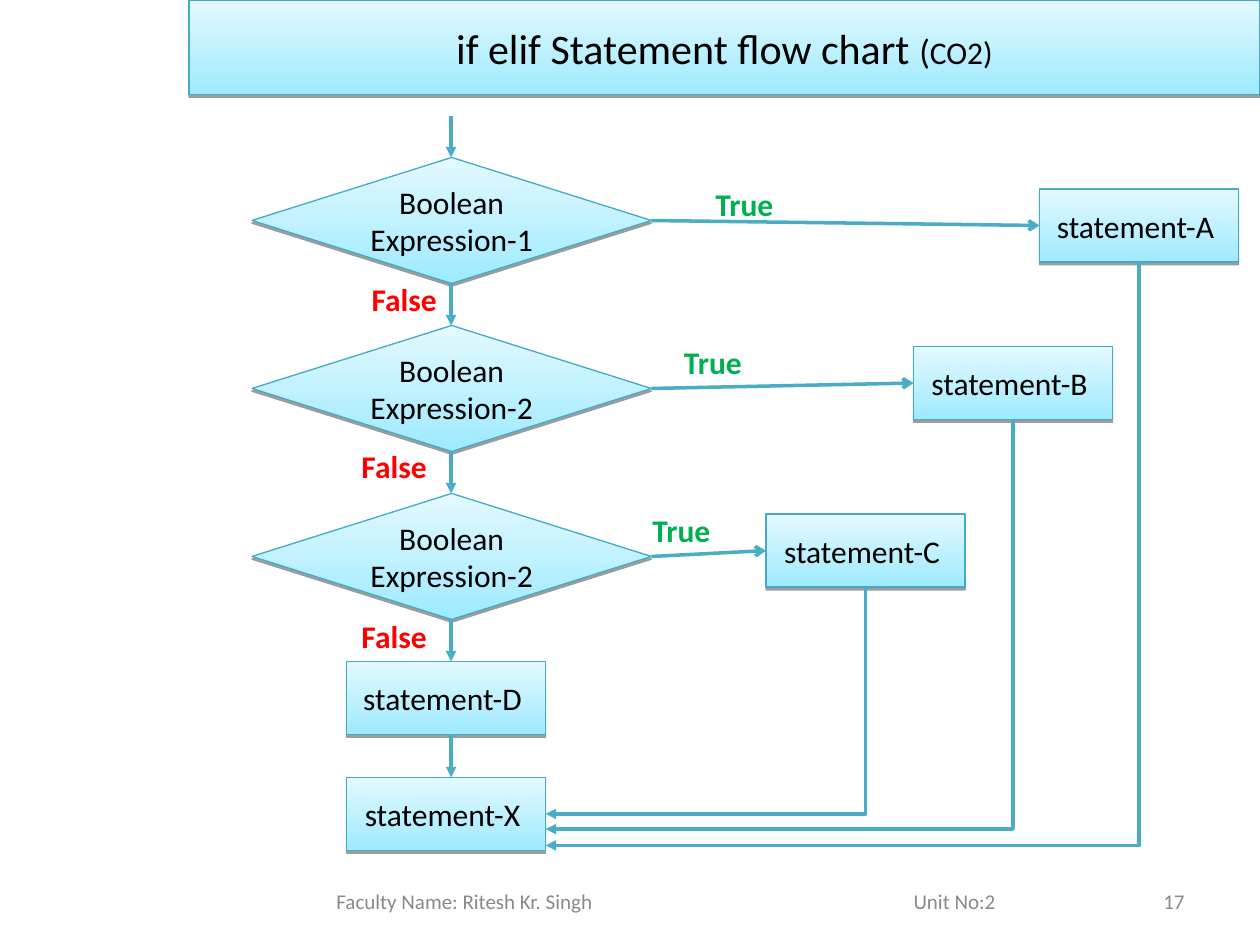
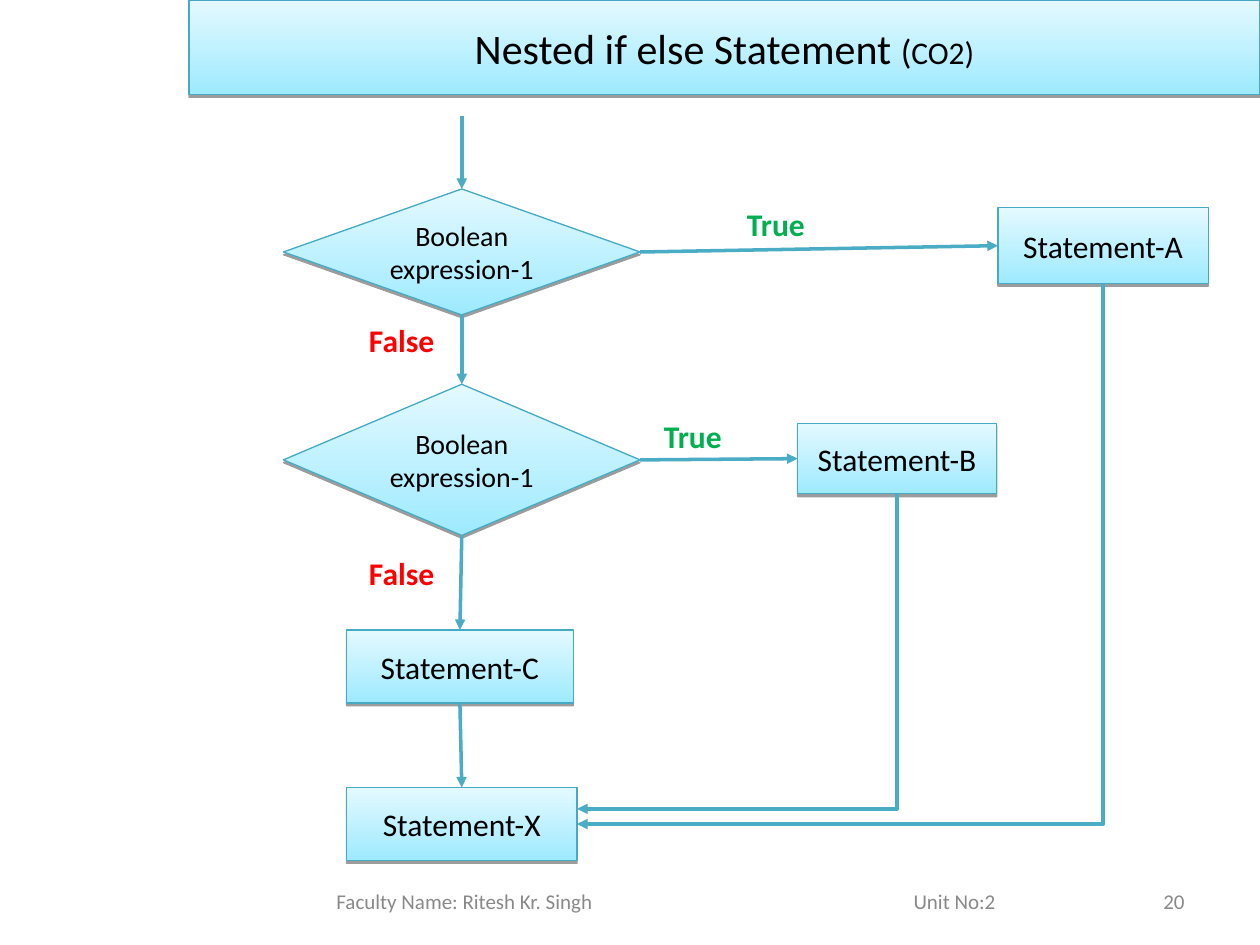
from lxml import etree
from pptx import Presentation
from pptx.dml.color import RGBColor
from pptx.enum.shapes import MSO_CONNECTOR, MSO_SHAPE
from pptx.enum.text import MSO_ANCHOR, MSO_AUTO_SIZE, PP_ALIGN
from pptx.oxml.ns import qn
from pptx.util import Inches, Pt

BLACK = RGBColor(0x00, 0x00, 0x00)
GRAY = RGBColor(0x89, 0x89, 0x89)
GREEN = RGBColor(0x00, 0xB0, 0x50)
RED = RGBColor(0xFF, 0x00, 0x00)
DEEP = RGBColor(0x9E, 0xEA, 0xFF)
PALE = RGBColor(0xE4, 0xF9, 0xFF)
EDGE = RGBColor(0x46, 0xAA, 0xC5)
ARROW = RGBColor(0x4B, 0xAC, 0xC6)
FRAME = {
    "word_wrap": True,
    "auto_size": MSO_AUTO_SIZE.NONE,
    "vertical_anchor": MSO_ANCHOR.MIDDLE,
    "margin_left": Inches(0.1),
    "margin_right": Inches(0.1),
    "margin_top": Inches(0.05),
    "margin_bottom": Inches(0.05),
}


def apply(item, values):
    for name, value in values.items():
        setattr(item, name, value)


def child(parent, tag, **values):
    return etree.SubElement(parent, qn(tag), {k: str(v) for k, v in values.items()})


class Chart:
    """Draws flow charts in one shared style, slide by slide."""

    def __init__(self):
        self.deck = Presentation()
        apply(self.deck, {"slide_width": Inches(10), "slide_height": Inches(7.5)})
        self.slide = None

    def page(self, title, number):
        self.slide = self.deck.slides.add_slide(self.deck.slide_layouts[5])
        band = self.slide.shapes.title
        places = {"left": 1.5, "top": 0, "width": 8.5, "height": 0.75}
        apply(band, {name: Inches(value) for name, value in places.items()})
        self.paint(band)
        self.letter(band, [(title + " ", 24), ("(", 20), ("CO2)", 18)], PP_ALIGN.CENTER)
        self.foot(number)

    def foot(self, number):
        names = self.box(1.5, 6.95, 7.58, 0.4)
        self.letter(names, [("Faculty Name: Ritesh Kr. Singh\tUnit No:2", 12)], color=GRAY)
        names.text_frame.margin_left = Inches(1.17)
        stops = child(names.text_frame.paragraphs[0]._p.get_or_add_pPr(), "a:tabLst")
        child(stops, "a:tab", pos=Inches(4.58), algn="l")
        count = self.box(7.17, 6.95, 2.33, 0.4)
        self.letter(count, [(str(number), 12)], PP_ALIGN.RIGHT, GRAY)

    def box(self, *place):
        return self.slide.shapes.add_textbox(*map(Inches, place))

    def paint(self, shape):
        shape.fill.gradient()
        shape.fill.gradient_angle = 90
        for stop, color in zip(shape.fill.gradient_stops, (DEEP, PALE)):
            stop.color.rgb = color
        shape.line.color.rgb = EDGE
        shape.line.width = Pt(0.75)
        shape.shadow.inherit = False
        effects = shape._element.spPr.find(qn("a:effectLst"))
        shade = child(effects, "a:outerShdw", blurRad=0, dist=Pt(1.6),
                      dir=5400000, rotWithShape=0)
        child(child(shade, "a:srgbClr", val=BLACK), "a:alpha", val=38000)

    def letter(self, shape, parts, align=PP_ALIGN.LEFT, color=BLACK, bold=False):
        apply(shape.text_frame, FRAME)
        para = shape.text_frame.paragraphs[0]
        para.alignment = align
        for text, size in parts:
            run = para.add_run()
            run.text = text
            apply(run.font, {"name": "Calibri", "size": Pt(size), "bold": bold})
            run.font.color.rgb = color

    def node(self, kind, text, place, size=18):
        shape = self.slide.shapes.add_shape(kind, *map(Inches, place))
        self.paint(shape)
        self.letter(shape, [(text, size)], PP_ALIGN.CENTER)
        return shape

    def test(self, text, place, size=18):
        return self.node(MSO_SHAPE.FLOWCHART_DECISION, text, place, size)

    def step(self, text, *place):
        return self.node(MSO_SHAPE.FLOWCHART_PROCESS, text, place)

    def labels(self, text, color, places):
        for left, top in places:
            label = self.box(left, top, 0.75, 0.4)
            self.letter(label, [(text, 18)], color=color, bold=True)
            label.text_frame.vertical_anchor = MSO_ANCHOR.TOP

    def arrow(self, kind, ends, head="triangle"):
        line = self.slide.shapes.add_connector(kind, *map(int, ends))
        line.line.color.rgb = ARROW
        line.line.width = Pt(2)
        props = line._element.spPr
        child(props.find(qn("a:ln")), "a:tailEnd", type=head)
        child(props, "a:effectLst")
        return line

    def chain(self, nodes, spine=None):
        def mid(node):
            return spine or node.left + node.width / 2

        first = nodes[0]
        runs = [(mid(first), Inches(0.92), mid(first), first.top)]
        for up, low in zip(nodes, nodes[1:]):
            runs.append((mid(up), up.top + up.height, mid(low), low.top))
        for ends in runs:
            self.arrow(MSO_CONNECTOR.STRAIGHT, ends)

    def across(self, test, step, head="triangle"):
        ends = (test.left + test.width, test.top + test.height / 2,
                step.left, step.top + step.height / 2)
        self.arrow(MSO_CONNECTOR.STRAIGHT, ends, head)

    def back(self, step, last, level):
        right, top = step.left + step.width / 2, step.top + step.height
        left, low = last.left + last.width, Inches(level)
        mid_x, mid_y = (left + right) / 2, (top + low) / 2
        half_w, half_h = (low - top) / 2, (right - left) / 2
        ends = (mid_x - half_w, mid_y - half_h, mid_x + half_w, mid_y + half_h)
        props = self.arrow(MSO_CONNECTOR.ELBOW, ends)._element.spPr
        props.find(qn("a:prstGeom")).set("prst", "bentConnector2")
        props.find(qn("a:xfrm")).set("rot", "5400000")

    def join(self, tests, steps, last, levels, head="triangle"):
        for test, step, level in zip(tests, steps, levels):
            self.across(test, step, head)
            self.back(step, last, level)


def elif_page(chart):
    chart.page("if elif Statement flow chart", 17)
    tests = [chart.test(f"Boolean Expression-{n}", (2, 1.25 + i * 4 / 3, 3.17, 1))
             for i, n in enumerate((1, 2, 2))]
    spots = {"A": (8.25, 1.5), "B": (7.25, 2.75), "C": (6.08, 4.08),
             "D": (2.75, 5.25), "X": (2.75, 6.17)}
    *steps, final, last = [chart.step(f"statement-{name} ", *spot, 1.58, 0.58)
                           for name, spot in spots.items()]
    chart.chain([*tests, final, last], Inches(3.58))
    chart.join(tests, steps, last, (6.71, 6.58, 6.46), "arrow")
    chart.labels("True", GREEN, [(5.58, 1.42), (5.33, 2.67), (5.08, 4.01)])
    chart.labels("False", RED, [(2.85, 2.17), (2.77, 3.5), (2.77, 4.85)])


def nested_page(chart):
    chart.page("Nested if else Statement", 20)
    tests = [chart.test("Boolean expression-1", (2.25, top, 2.83, height), 16)
             for top, height in ((1.5, 1), (3.05, 1.2))]
    spots = {"A": (7.92, 1.65, 1.67, 0.6), "B": (6.33, 3.36, 1.58, 0.56),
             "C": (2.75, 5, 1.8, 0.58), "X": (2.75, 6.25, 1.83, 0.58)}
    *steps, final, last = [chart.step(f"Statement-{name}", *spot)
                           for name, spot in spots.items()]
    chart.chain([*tests, final, last])
    chart.join(tests, steps, last, (6.54, 6.42))
    chart.labels("True", GREEN, [(5.83, 1.58), (5.17, 3.26)])
    chart.labels("False", RED, [(2.83, 2.5), (2.83, 4.35)])


def main():
    chart = Chart()
    elif_page(chart)
    nested_page(chart)
    chart.deck.save("out.pptx")


if __name__ == "__main__":
    main()
